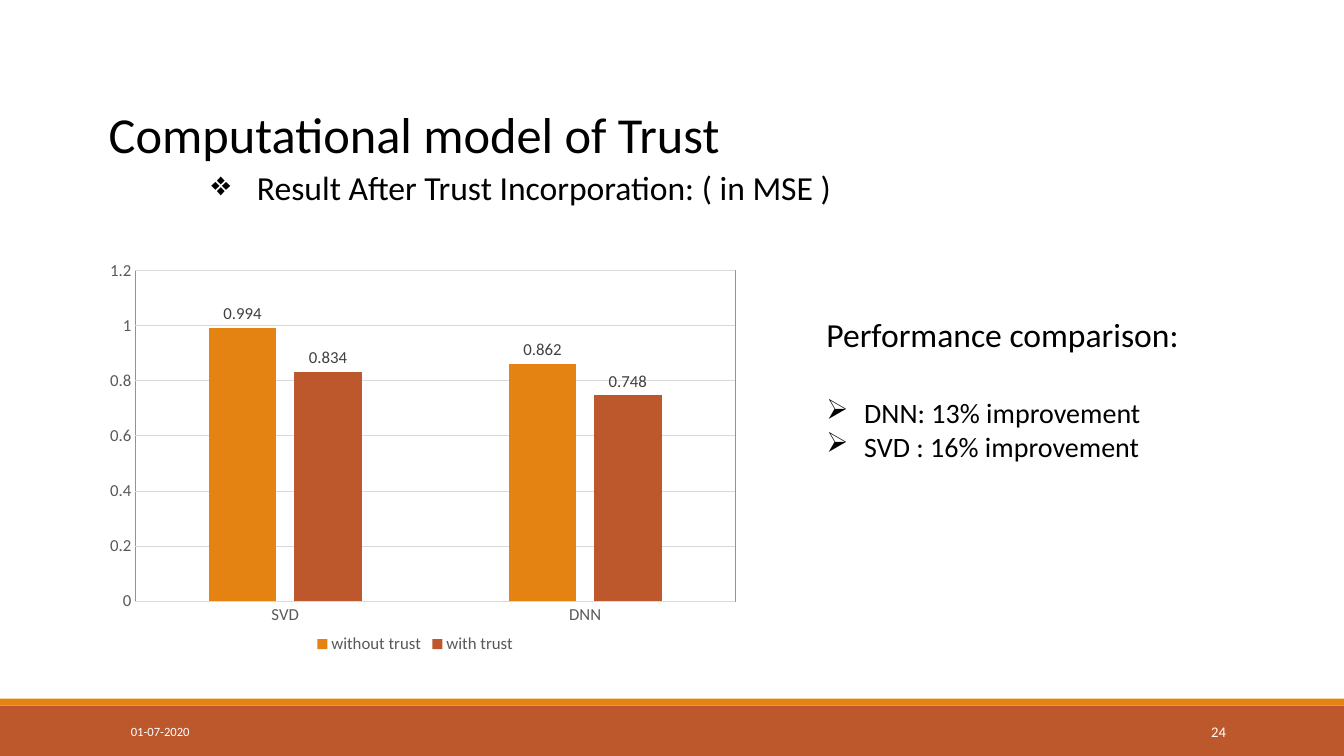
"""Build the slide comparing prediction error with and without trust."""
from dataclasses import dataclass

from lxml import etree
from pptx import Presentation
from pptx.chart.data import CategoryChartData
from pptx.dml.color import RGBColor
from pptx.enum.chart import XL_CHART_TYPE, XL_LABEL_POSITION, XL_LEGEND_POSITION, XL_TICK_MARK
from pptx.enum.shapes import MSO_SHAPE
from pptx.enum.text import MSO_ANCHOR, PP_ALIGN
from pptx.oxml import parse_xml
from pptx.oxml.ns import nsdecls, qn
from pptx.util import Pt

RECTANGLE = MSO_SHAPE.RECTANGLE
COLUMNS = XL_CHART_TYPE.COLUMN_CLUSTERED
OUTSIDE_END = XL_LABEL_POSITION.OUTSIDE_END
LEGEND_BOTTOM = XL_LEGEND_POSITION.BOTTOM
NO_TICK = XL_TICK_MARK.NONE
TOP, MIDDLE = MSO_ANCHOR.TOP, MSO_ANCHOR.MIDDLE
LEFT, RIGHT = PP_ALIGN.LEFT, PP_ALIGN.RIGHT


@dataclass(frozen=True)
class Theme:
    font: str = "Calibri"
    orange: str = "E48312"
    rust: str = "BD582C"
    ink: str = "000000"
    white: str = "FFFFFF"
    axis_text: str = "595959"
    label_text: str = "404040"
    grid: str = "D9D9D9"
    title_size: float = 36
    heading_size: float = 24
    item_size: float = 20
    chart_size: float = 12
    date_size: float = 9
    number_size: float = 10.5
    hairline: float = 0.75


THEME = Theme()
SLIDE_SIZE = (960, 540)
FOOTER_TOP, STRIPE_HEIGHT = 504, 5

TITLE = "Computational model of Trust"
SUBTITLE = " Result After Trust Incorporation: ( in MSE )"
COMPARISON_HEADING = "Performance comparison:"
COMPARISONS = ["DNN: 13% improvement", "SVD : 16% improvement"]
DATE, SLIDE_NUMBER = "01-07-2020", "24"

METHODS = ["SVD", "DNN"]
ERRORS = [
    ("without trust", (0.994, 0.862), THEME.orange),
    ("with trust", (0.834, 0.748), THEME.rust),
]
CHART_BOX = (61.9, 152.6, 469.4, 317.5)
PLOT_LAYOUT = {"x": 0.074, "y": 0.129, "w": 0.913, "h": 0.743}


def set_font(font, size, color):
    font.name = THEME.font
    font.size = Pt(size)
    font.color.rgb = RGBColor.from_string(color)


def add_band(slide, top, height, color):
    band = slide.shapes.add_shape(RECTANGLE, 0, Pt(top), Pt(SLIDE_SIZE[0]), Pt(height))
    band.shadow.inherit = False
    band.fill.solid()
    band.fill.fore_color.rgb = RGBColor.from_string(color)
    band.line.fill.background()


def add_text_box(slide, box, anchor=TOP):
    frame = slide.shapes.add_textbox(*map(Pt, box)).text_frame
    frame.word_wrap = True
    frame.vertical_anchor = anchor
    return frame


def write(paragraph, text, size, color=THEME.ink, align=LEFT):
    paragraph.text = text
    paragraph.alignment = align
    set_font(paragraph.font, size, color)


def add_bullet(paragraph, character, margin):
    properties = paragraph._p.get_or_add_pPr()
    properties.set("marL", str(Pt(margin)))
    properties.set("indent", str(-Pt(27)))
    bullet = etree.Element(qn("a:buChar"), char=character)
    properties.find(qn("a:defRPr")).addprevious(bullet)


def style_plot_area(chart):
    plot_area = chart._chartSpace.chart.plotArea
    for layout in plot_area.findall(qn("c:layout")):
        plot_area.remove(layout)
    places = "".join(f'<c:{key} val="{value}"/>' for key, value in PLOT_LAYOUT.items())
    plot_area.insert(0, parse_xml(
        f'<c:layout {nsdecls("c")}><c:manualLayout><c:layoutTarget val="inner"/>'
        f'<c:xMode val="edge"/><c:yMode val="edge"/>{places}</c:manualLayout></c:layout>'))
    plot_area.append(parse_xml(
        f'<c:spPr {nsdecls("c", "a")}><a:noFill/><a:ln w="{Pt(THEME.hairline)}">'
        f'<a:solidFill><a:srgbClr val="{THEME.orange}"/></a:solidFill></a:ln></c:spPr>'))


def style_line(line, color):
    line.color.rgb = RGBColor.from_string(color)
    line.width = Pt(THEME.hairline)


def add_error_chart(slide):
    data = CategoryChartData()
    data.categories = METHODS
    for name, values, _ in ERRORS:
        data.add_series(name, values)
    chart = slide.shapes.add_chart(COLUMNS, *map(Pt, CHART_BOX), data).chart
    set_font(chart.font, THEME.chart_size, THEME.axis_text)
    chart.has_title = False
    chart.has_legend = True
    chart.legend.position = LEGEND_BOTTOM
    chart.legend.include_in_layout = False
    set_font(chart.legend.font, THEME.chart_size, THEME.axis_text)

    for axis in (chart.category_axis, chart.value_axis):
        axis.major_tick_mark = axis.minor_tick_mark = NO_TICK
        set_font(axis.tick_labels.font, THEME.chart_size, THEME.axis_text)
    style_line(chart.category_axis.format.line, THEME.grid)
    value_axis = chart.value_axis
    value_axis.minimum_scale, value_axis.maximum_scale, value_axis.major_unit = 0, 1.2, 0.2
    value_axis.format.line.fill.background()
    style_line(value_axis.major_gridlines.format.line, THEME.grid)

    plot = chart.plots[0]
    plot.vary_by_categories = False
    plot.gap_width, plot.overlap = 219, -27
    for series, (_, _, color) in zip(plot.series, ERRORS):
        series.format.fill.solid()
        series.format.fill.fore_color.rgb = RGBColor.from_string(color)
        labels = series.data_labels
        labels.show_value = True
        labels.position = OUTSIDE_END
        set_font(labels.font, THEME.chart_size, THEME.label_text)
    style_plot_area(chart)


def add_comparison(slide):
    frame = add_text_box(slide, (583.2, 221, 282.2, 135.4))
    write(frame.paragraphs[0], COMPARISON_HEADING, THEME.heading_size)
    frame.paragraphs[0].space_after = Pt(29.3)
    for text in COMPARISONS:
        paragraph = frame.add_paragraph()
        write(paragraph, text, THEME.item_size)
        add_bullet(paragraph, "➢", 27)


def main():
    presentation = Presentation()
    presentation.slide_width, presentation.slide_height = map(Pt, SLIDE_SIZE)
    slide = presentation.slides.add_slide(presentation.slide_layouts[6])

    add_band(slide, FOOTER_TOP, SLIDE_SIZE[1] - FOOTER_TOP, THEME.rust)
    add_band(slide, FOOTER_TOP - STRIPE_HEIGHT, STRIPE_HEIGHT, THEME.orange)

    title = add_text_box(slide, (70.6, 69.8, 828, 51.1))
    write(title.paragraphs[0], TITLE, THEME.title_size)
    subtitle = add_text_box(slide, (108, 115.9, 789.8, 36))
    write(subtitle.paragraphs[0], SUBTITLE, THEME.heading_size)
    add_bullet(subtitle.paragraphs[0], "❖", 63)

    add_comparison(slide)
    add_error_chart(slide)

    date = add_text_box(slide, (86.4, 508.3, 194.4, 28.8), MIDDLE)
    write(date.paragraphs[0], DATE, THEME.date_size, THEME.white)
    number = add_text_box(slide, (779.8, 508.3, 103, 28.8), MIDDLE)
    write(number.paragraphs[0], SLIDE_NUMBER, THEME.number_size, THEME.white, RIGHT)
    presentation.save("out.pptx")


if __name__ == "__main__":
    main()
